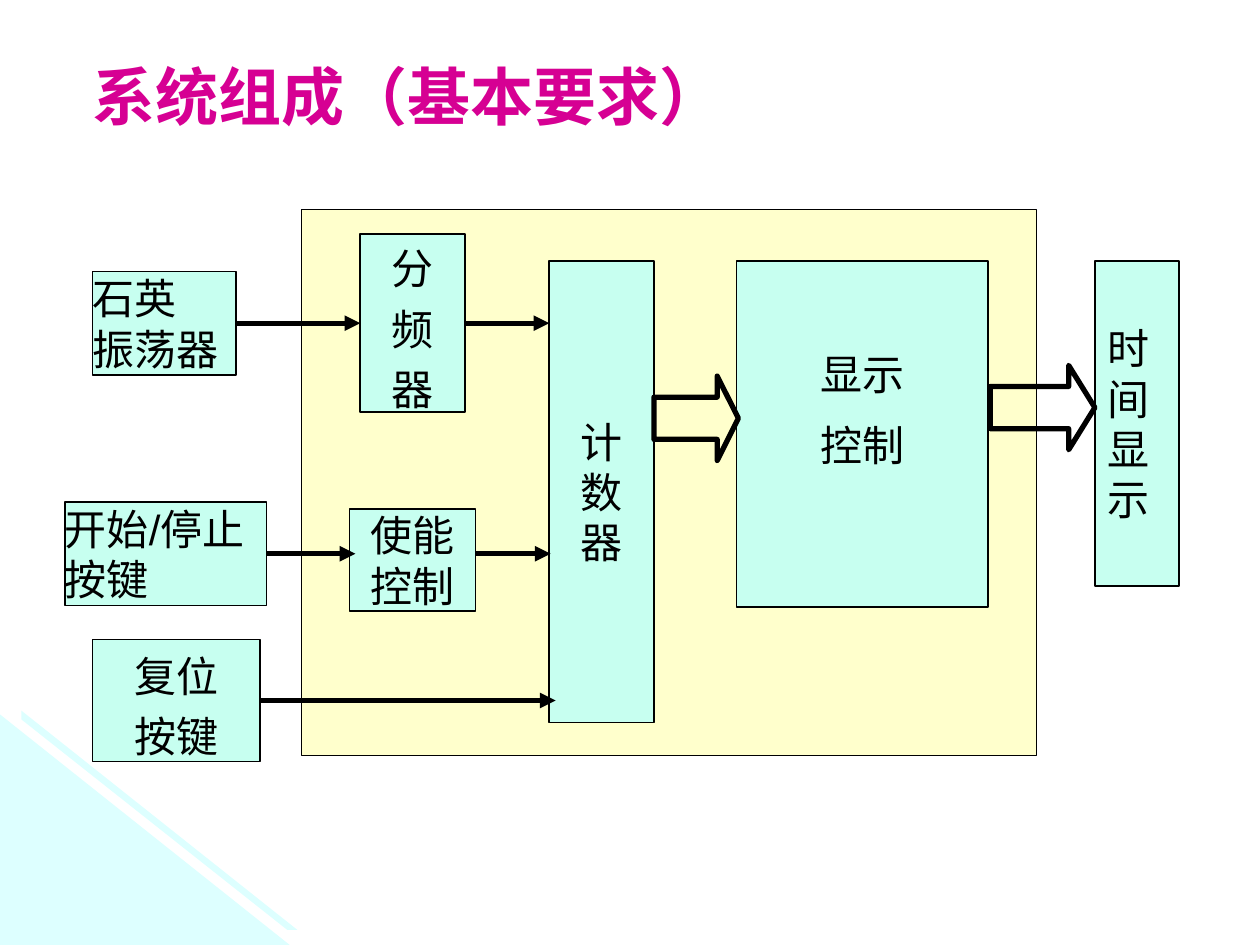
from dataclasses import dataclass

from lxml.etree import SubElement
from pptx import Presentation
from pptx.dml.color import RGBColor
from pptx.enum.shapes import MSO_CONNECTOR, MSO_SHAPE
from pptx.enum.text import MSO_ANCHOR, PP_ALIGN
from pptx.oxml.ns import qn
from pptx.util import Inches, Pt

deck = Presentation()
deck.slide_width, deck.slide_height = Inches(10), Inches(7.5)
slide = deck.slides.add_slide(deck.slide_layouts[6])
shapes = slide.shapes

COLS, ROWS = 100, 75
MINT, CREAM, AQUA, PINK, BLACK = "C7FFF0", "FFFFCC", "DDFFFF", "D60093", "000000"
LEFT, MID = PP_ALIGN.LEFT, PP_ALIGN.CENTER
INSET = Inches(0.1), Inches(0.05), Inches(0.1), Inches(0.05)


@dataclass
class Box:
    area: tuple
    lines: tuple = ()
    fill: str = MINT
    width: float = 1
    align: int = MID
    inset: tuple = (0, 0, 0, 0)
    pitch: float = 1
    before: float = 0
    wrap: bool = True


@dataclass
class Block:
    area: tuple
    head: float


@dataclass
class Link:
    start: tuple
    end: tuple
    source: str = ""
    target: str = ""


def tint(code: str) -> RGBColor:
    return RGBColor.from_string(code)


def spot(col: float, row: float) -> tuple:
    return round(deck.slide_width * col / COLS), round(deck.slide_height * row / ROWS)


def place(area: tuple) -> tuple:
    return spot(*area[:2]) + spot(*area[2:])


def write(frame, lines: tuple, size: float, color: str, font: str, bold: bool = False) -> list:
    frame.vertical_anchor = MSO_ANCHOR.MIDDLE
    frame.text = "\n".join(lines)
    for para in frame.paragraphs:
        para.font.size, para.font.name, para.font.bold = Pt(size), font, bold
        para.font.color.rgb = tint(color)
    return frame.paragraphs


def edge(shape, width: float) -> None:
    shape.shadow.inherit = False
    shape.line.color.rgb = tint(BLACK)
    shape.line.width = Pt(width)


def draw_box(box: Box):
    shape = shapes.add_shape(MSO_SHAPE.RECTANGLE, *place(box.area))
    edge(shape, box.width)
    shape.fill.solid()
    shape.fill.fore_color.rgb = tint(box.fill)
    if box.lines:
        frame = shape.text_frame
        frame.word_wrap = box.wrap
        frame.margin_left, frame.margin_top, frame.margin_right, frame.margin_bottom = box.inset
        for para in write(frame, box.lines, 24, BLACK, "Arial"):
            para.alignment = box.align
            para.line_spacing = box.pitch
            para.space_before = Pt(box.before)
    return shape


def draw_block(block: Block) -> None:
    shape = shapes.add_shape(MSO_SHAPE.RIGHT_ARROW, *place(block.area))
    edge(shape, 3)
    shape.fill.background()
    shape.adjustments[0], shape.adjustments[1] = 0.5, block.head


def draw_link(link: Link, made: dict) -> None:
    line = shapes.add_connector(MSO_CONNECTOR.STRAIGHT, *spot(*link.start), *spot(*link.end))
    line.line.color.rgb = tint(BLACK)
    line.line.width = Pt(3)
    if link.source:
        line.begin_connect(made[link.source], 3)
    if link.target:
        line.end_connect(made[link.target], 1)
    SubElement(line.line._get_or_add_ln(), qn("a:tailEnd"), type="triangle")
    SubElement(line._element.spPr, qn("a:effectLst"))


def draw_corner() -> None:
    first, *rest = [spot(*p) for p in ((0, 56.7), (23, 75), (0, 75))]
    path = shapes.build_freeform(*first)
    path.add_line_segments(rest, close=True)
    first, *rest = [spot(*p) for p in ((1.7, 56.4), (23.6, 73.8), (22.8, 73.8), (1.7, 57.1))]
    path.move_to(*first)
    path.add_line_segments(rest, close=True)
    shape = path.convert_to_shape()
    shape.shadow.inherit = False
    shape.fill.solid()
    shape.fill.fore_color.rgb = tint(AQUA)
    shape.line.fill.background()


def draw_title() -> None:
    frame = shapes.add_textbox(*place((6.35, 3.5, 66.1, 8.1))).text_frame
    frame.word_wrap = True
    write(frame, ("系统组成（基本要求）",), 36, PINK, "Karla", True)


BOXES = {
    "system": Box((23.95, 16.65, 58.3, 43.3), fill=CREAM, width=0.75),
    "enable": Box((27.75, 40.4, 10, 8.1), ("使能", "控制")),
    "counter": Box((43.55, 20.7, 8.35, 36.65), ("计", "数", "器"), inset=INSET, wrap=False),
    "crystal": Box((7.35, 21.55, 11.4, 8.2), ("石英", "振荡器"), align=LEFT),
    "divider": Box((28.6, 18.6, 8.3, 14.1), ("分", "频", "器"), pitch=1.2),
    "control": Box((58.45, 20.7, 20, 27.5), ("显示", "控制"),
                   inset=INSET[:3] + (Inches(0.44),), before=12),
    "start": Box((5.15, 39.85, 16, 8.2), ("开始/停止按键",), align=LEFT),
    "display": Box((86.9, 20.7, 6.7, 25.8), ("时间", "显示"), align=LEFT, inset=INSET),
    "reset": Box((7.35, 50.75, 13.3, 9.7), ("复位", "按键"), pitch=1.2),
}
BLOCKS = (
    Block((78.6, 29, 8.3, 6.7), 0.31),
    Block((51.9, 29.85, 6.7, 6.7), 0.25),
)
LINKS = (
    Link((18.75, 25.65), (28.6, 25.65), "crystal", "divider"),
    Link((36.9, 25.65), (43.6, 25.65), "divider"),
    Link((21.15, 43.95), (28.2, 43.95), "start"),
    Link((37.8, 43.95), (43.7, 43.95)),
    Link((20.65, 55.6), (44.1, 55.6), "reset"),
)


def main() -> None:
    draw_corner()
    draw_title()
    made = {key: draw_box(box) for key, box in BOXES.items()}
    for block in BLOCKS:
        draw_block(block)
    for link in LINKS:
        draw_link(link, made)
    deck.save("out.pptx")


if __name__ == "__main__":
    main()
